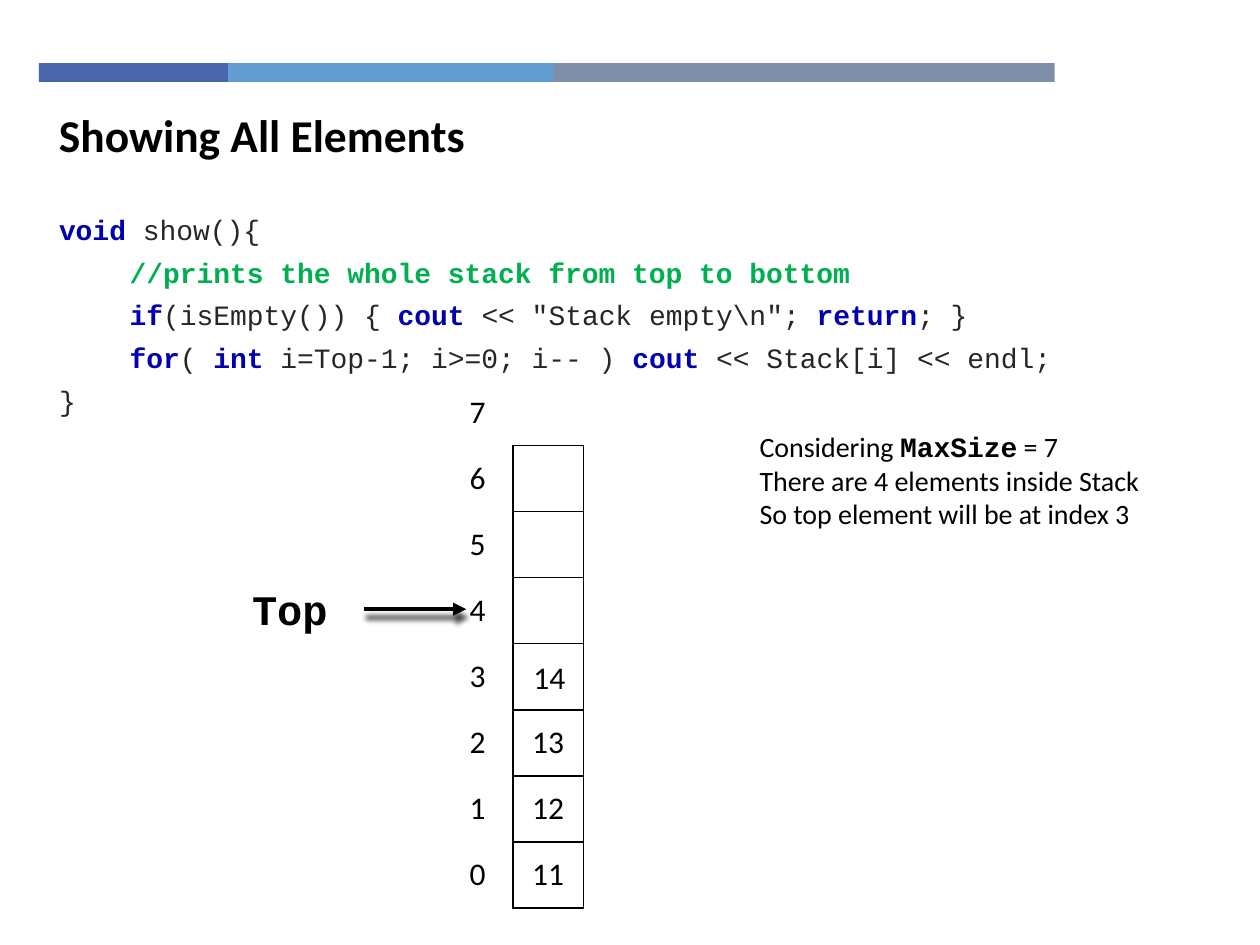
import pptx
import pptx.util
import pptx.dml.color
import pptx.enum.shapes
import pptx.enum.text
import pptx.oxml
import pptx.oxml.ns
from pptx.util import Inches

COLORS = {
    "indigo": "4A66AC", "sky": "629DD1", "slate": "7F8FA9", "white": "FFFFFF",
    "black": "000000", "keyword": "0000B0", "comment": "00B050", "code": "262626",
}
SANS, MONO = "Calibri", "Courier New"
ALIGN = pptx.enum.text.PP_ALIGN
MIDDLE = pptx.enum.text.MSO_ANCHOR.MIDDLE
NO_GRID_STYLE = "{2D5ABB26-0587-4C30-8999-92F81FD0307C}"

PLAIN, KEYWORD, COMMENT = ("code", False), ("keyword", True), ("comment", True)
CODE = [
    [("void", KEYWORD), (" show(){", PLAIN)],
    [("\t", PLAIN), ("//prints the whole stack from top to bottom", COMMENT)],
    [("\tif", KEYWORD), ("(isEmpty()) { ", PLAIN), ("cout ", KEYWORD),
     ('<< "Stack empty\\n"; ', PLAIN), ("return", KEYWORD), ("; }", PLAIN)],
    [("\t", PLAIN), ("for", KEYWORD), ("( ", PLAIN), ("int ", KEYWORD),
     ("i=Top-1; i>=0; i-- ) ", PLAIN), ("cout", KEYWORD),
     (" << Stack[i] << endl; ", PLAIN)],
    [("}", PLAIN)],
]
NOTES = [
    [("Considering ", SANS, False), ("MaxSize", MONO, True), (" = 7", SANS, False)],
    [("There are 4 elements inside Stack", SANS, False)],
    [("So top element will be at index 3", SANS, False)],
]
STACK = ["", "", "", "", "", "13", "12", "11"]


def rgb(name):
    """Return the named colour."""
    return pptx.dml.color.RGBColor.from_string(COLORS[name])


def add_run(paragraph, text, size, font=SANS, color="black", bold=False):
    """Append one formatted run."""
    run = paragraph.add_run()
    run.text = text
    run.font.size = pptx.util.Pt(size)
    run.font.name = font
    run.font.bold = bold
    run.font.color.rgb = rgb(color)


def add_text_frame(slide, box, anchor=pptx.enum.text.MSO_ANCHOR.TOP):
    """Add a wrapping text box and return its frame."""
    frame = slide.shapes.add_textbox(*map(Inches, box)).text_frame
    frame.word_wrap = True
    frame.vertical_anchor = anchor
    return frame


def add_paragraphs(frame, count):
    """Yield the given number of paragraphs, starting with the first."""
    for index in range(count):
        yield frame.add_paragraph() if index else frame.paragraphs[0]


def add_block(shapes, box, color):
    """Add a flat rectangle."""
    block = shapes.add_shape(
        pptx.enum.shapes.MSO_SHAPE.RECTANGLE, *map(Inches, box))
    block.shadow.inherit = False
    block.fill.solid()
    block.fill.fore_color.rgb = rgb(color)
    block.line.fill.background()
    return block


def add_band(slide, box):
    """Place the three-part colour band across the top."""
    left, top, _, height = box
    band = slide.shapes.add_group_shape()
    for width, color in ((1.5, "indigo"), (2.58, "sky"), (3.98, "slate")):
        add_block(band.shapes, (left, top, width, height), color)
        left += width


def add_title(slide, box):
    """Place the slide heading."""
    frame = add_text_frame(slide, box, MIDDLE)
    add_run(frame.paragraphs[0], "Showing All Elements", 26, bold=True)


def add_code(slide, box):
    """Place the highlighted listing with a hanging indent."""
    frame = add_text_frame(slide, box)
    for paragraph, line in zip(add_paragraphs(frame, len(CODE)), CODE):
        paragraph.alignment = ALIGN.JUSTIFY
        paragraph.line_spacing = 0.8
        paragraph.space_before = paragraph.space_after = pptx.util.Pt(4.5)
        properties = paragraph._p.get_or_add_pPr()
        properties.set("marL", str(Inches(0.56)))
        properties.set("indent", str(-Inches(0.56)))
        for text, (color, bold) in line:
            add_run(paragraph, text, 16, MONO, color, bold)


def add_notes(slide, box):
    """Place the explanation beside the stack."""
    frame = add_text_frame(slide, box)
    for paragraph, line in zip(add_paragraphs(frame, len(NOTES)), NOTES):
        paragraph.alignment = ALIGN.JUSTIFY
        for text, font, bold in line:
            add_run(paragraph, text, 16, font, bold=bold)


def set_borders(cell, sides):
    """Draw thin black lines on the given sides of a cell and none elsewhere."""
    properties = cell._tc.get_or_add_tcPr()
    for position, side in enumerate("LRTB"):
        fill = "<a:noFill/>"
        if side in sides:
            fill = f'<a:solidFill><a:srgbClr val="{COLORS["black"]}"/></a:solidFill>'
        properties.insert(position, pptx.oxml.parse_xml(
            f'<a:ln{side} {pptx.oxml.ns.nsdecls("a")} w="12700">{fill}</a:ln{side}>'))


def add_stack(slide, box):
    """Place the indexed stack with its pushed top element."""
    left, top, width, height = box
    count = len(STACK)
    table = slide.shapes.add_table(count, 2, *map(Inches, box)).table
    table.first_row = table.horz_banding = False
    table._tbl.tblPr.find(pptx.oxml.ns.qn("a:tableStyleId")).text = NO_GRID_STYLE
    for row, element in enumerate(STACK):
        index_sides = "R" if row else ""
        element_sides = "LRTB" if row else "B"
        columns = ((str(count - 1 - row), index_sides), (element, element_sides))
        for column, (text, sides) in enumerate(columns):
            cell = table.cell(row, column)
            cell.fill.background()
            cell.vertical_anchor = MIDDLE
            paragraph = cell.text_frame.paragraphs[0]
            paragraph.alignment = ALIGN.CENTER
            paragraph.font.size = pptx.util.Pt(18)
            if text:
                add_run(paragraph, text, 18)
            set_borders(cell, sides)
    row_height = height / count
    top_element = add_text_frame(
        slide, (left + width / 2 + 0.01, top + 4 * row_height, width / 2, row_height), MIDDLE)
    top_element.paragraphs[0].alignment = ALIGN.CENTER
    add_run(top_element.paragraphs[0], "14", 18)


def add_top_pointer(slide, box):
    """Place the Top label and its shadowed arrow."""
    left, top, width, height = box
    label_width = 1.18
    pointer = slide.shapes.add_group_shape()
    label = add_block(pointer.shapes, (left, top, label_width, height), "white")
    label.text_frame.vertical_anchor = MIDDLE
    label.text_frame.paragraphs[0].alignment = ALIGN.CENTER
    add_run(label.text_frame.paragraphs[0], "Top", 24, MONO, bold=True)
    middle = top + height / 2
    arrow = pointer.shapes.add_connector(
        pptx.enum.shapes.MSO_CONNECTOR.STRAIGHT,
        *map(Inches, (left + label_width, middle, left + width, middle)))
    arrow.begin_connect(label, 3)
    arrow.line.width = pptx.util.Pt(2.5)
    arrow.line.color.rgb = rgb("black")
    namespace = pptx.oxml.ns.nsdecls("a")
    arrow.line._get_or_add_ln().append(
        pptx.oxml.parse_xml(f'<a:tailEnd {namespace} type="triangle"/>'))
    arrow._element.spPr.append(pptx.oxml.parse_xml(
        f'<a:effectLst {namespace}><a:outerShdw blurRad="38100" dist="63500" '
        f'dir="4620000" rotWithShape="0"><a:srgbClr val="{COLORS["black"]}">'
        '<a:alpha val="75000"/></a:srgbClr></a:outerShdw></a:effectLst>'))


def main():
    """Build and save the slide."""
    deck = pptx.Presentation()
    deck.slide_width, deck.slide_height = Inches(10), Inches(7.5)
    slide = deck.slides.add_slide(deck.slide_layouts[6])
    add_band(slide, (0.31, 0.5, 8.06, 0.15))
    add_code(slide, (0.37, 1.69, 8.25, 1.67))
    add_title(slide, (0.37, 0.8, 7.16, 0.54))
    add_stack(slide, (3.51, 3.01, 1.12, 4.2))
    add_notes(slide, (5.93, 3.36, 3.48, 0.91))
    add_top_pointer(slide, (1.71, 4.62, 1.99, 0.43))
    deck.save("out.pptx")


if __name__ == "__main__":
    main()
